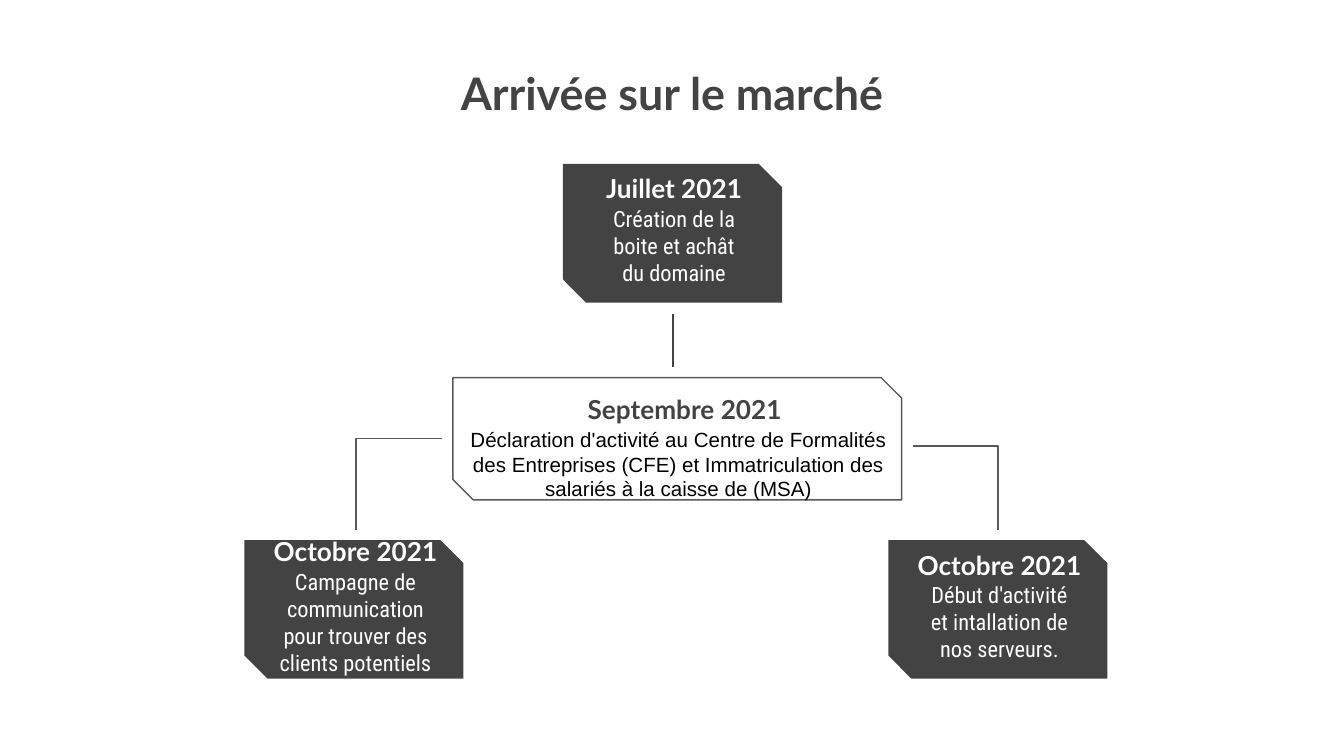
from lxml import etree
from pptx import Presentation
from pptx.dml.color import RGBColor
from pptx.enum.shapes import MSO_CONNECTOR, MSO_SHAPE
from pptx.enum.text import MSO_ANCHOR, PP_ALIGN
from pptx.oxml.ns import qn
from pptx.util import Cm, Pt

SNIP = MSO_SHAPE.SNIP_2_DIAG_RECTANGLE
LINE, ELBOW = MSO_CONNECTOR.STRAIGHT, MSO_CONNECTOR.ELBOW
TOP, LOW = MSO_ANCHOR.TOP, MSO_ANCHOR.BOTTOM
CENTER = PP_ALIGN.CENTER

COLORS = {"dark": "434343", "line": "595959", "white": "FFFFFF", "black": "000000"}
TITLE = {"name": "Lato", "size": Pt(24), "bold": True}
HEAD = {"name": "Lato", "size": Pt(14), "bold": True}
BODY = {"name": "Roboto Condensed", "size": Pt(12)}
NOTE = {"name": "Arial", "size": Pt(11)}
INSET = Cm(0.25)
CARD_W, CARD_H = 4.14, 2.62


def rgb(key):
    return RGBColor.from_string(COLORS[key])


def add_text(slide, box, text, style, color, anchor=TOP):
    frame = slide.shapes.add_textbox(*map(Cm, box)).text_frame
    form = {"word_wrap": True, "vertical_anchor": anchor}
    form.update({f"margin_{side}": INSET for side in ("left", "top", "right", "bottom")})
    for key, value in form.items():
        setattr(frame, key, value)
    para = frame.paragraphs[0]
    para.alignment = CENTER
    run = para.add_run()
    run.text = text
    for key, value in style.items():
        setattr(run.font, key, value)
    run.font.color.rgb = rgb(color)


def add_snip(slide, box, fill=None):
    """Add a snipped panel: filled without a line, or outlined without a fill."""
    shape = slide.shapes.add_shape(SNIP, *map(Cm, box))
    shape.shadow.inherit = False
    if fill:
        shape.fill.solid()
        shape.fill.fore_color.rgb = rgb(fill)
        shape.line.fill.background()
    else:
        shape.fill.background()
        shape.line.color.rgb = rgb("line")
        shape.line.width = Pt(0.75)


def add_card(slide, left, top, head, body, width=3.23, lift=0):
    """Add a dark card; lift raises its text to make room for more lines."""
    add_snip(slide, (left, top, CARD_W, CARD_H), "dark")
    mid = left + 2.1
    add_text(slide, (mid - 1.98, top - 0.08 - lift, 3.96, 1.09), head, HEAD, "white", LOW)
    add_text(slide, (mid - width / 2, top + 0.53 - lift, width, 1.73), body, BODY, "white")


def add_panel(slide, left, top, width, height, head, body):
    add_snip(slide, (left, top, width, height))
    add_text(slide, (left + 2.21, top, 4.34, 1.14), head, HEAD, "dark", LOW)
    add_text(slide, (left - 0.03, top + 0.68, width + 0.11, height), body, NOTE, "black")


def add_link(slide, kind, ends, color):
    link = slide.shapes.add_connector(kind, *map(Cm, ends))
    link.line.color.rgb = rgb(color)
    link.line.width = Pt(0.75)
    props = link._element.spPr
    etree.SubElement(props, qn("a:effectLst"))
    if kind == ELBOW:  # turn down only at the far end
        guides = props.find(qn("a:prstGeom")).get_or_add_avLst()
        etree.SubElement(guides, qn("a:gd"), name="adj1", fmla="val 100000")


def main():
    deck = Presentation()
    deck.slide_width, deck.slide_height = Cm(25.4), Cm(14.29)
    slide = deck.slides.add_slide(deck.slide_layouts[6])

    add_text(slide, (5.46, 0.99, 14.48, 2.62), "Arrivée sur le marché", TITLE, "dark")
    add_card(slide, 10.64, 3.1, "Juillet 2021", "Création de la boite et achât du domaine")
    add_panel(slide, 8.56, 7.14, 8.48, 2.31, "Septembre 2021",
              "Déclaration d'activité au Centre de Formalités des Entreprises (CFE) "
              "et Immatriculation des salariés à la caisse de (MSA)")
    add_card(slide, 4.62, 10.21, "Octobre 2021",
             "Campagne de communication pour trouver des clients potentiels",
             width=3.89, lift=0.25)
    add_card(slide, 16.79, 10.21, "Octobre 2021",
             "Début d'activité et intallation de nos serveurs.")

    add_link(slide, LINE, (12.72, 5.93, 12.72, 6.93), "dark")
    add_link(slide, ELBOW, (8.36, 8.29, 6.73, 10.01), "line")
    add_link(slide, ELBOW, (17.25, 8.43, 18.86, 10.01), "line")
    deck.save("out.pptx")


if __name__ == "__main__":
    main()
